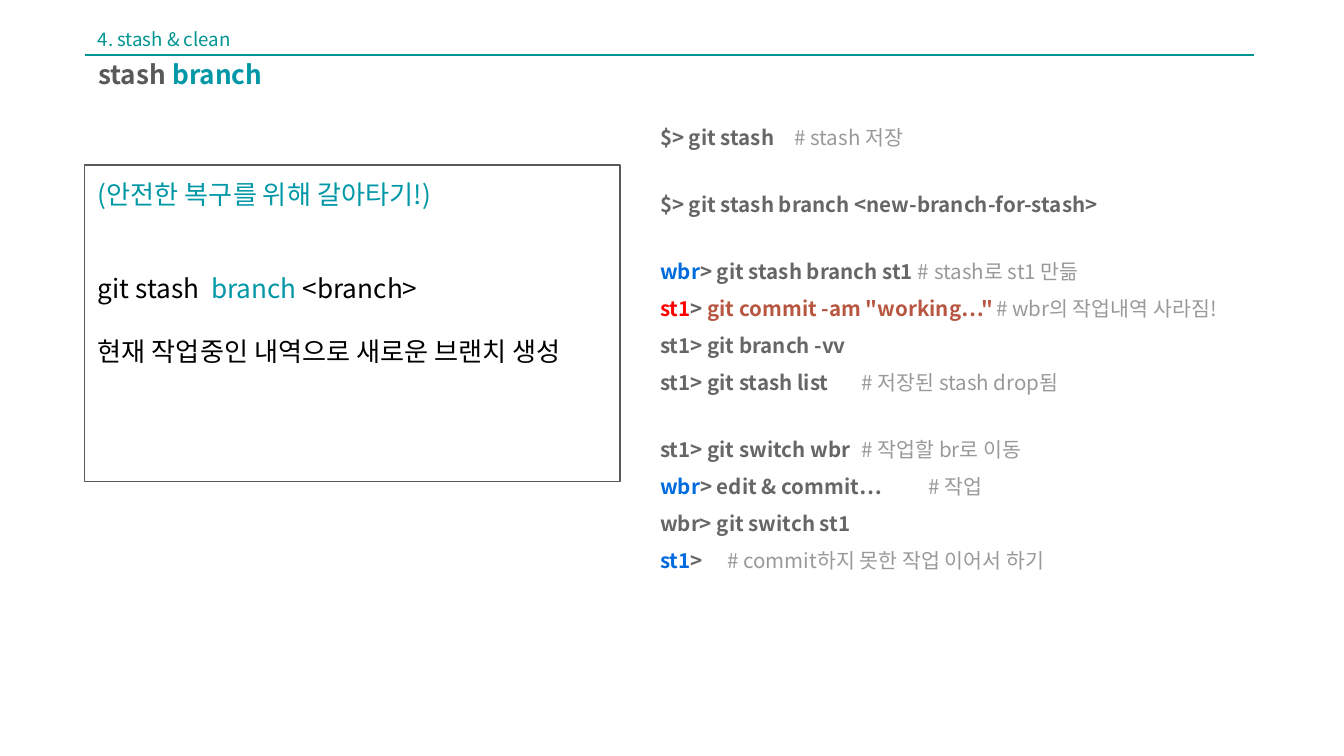
from pptx import Presentation
from pptx.util import Pt
from pptx.dml.color import RGBColor
from pptx.enum.shapes import MSO_SHAPE as SHAPE, MSO_CONNECTOR as CONN
from pptx.enum.text import MSO_ANCHOR as ANCHOR, MSO_AUTO_SIZE as FIT, PP_ALIGN as ALIGN
from pptx.oxml.ns import qn
from lxml.etree import SubElement

FONT = "Noto Sans CJK KR"
TEAL, CYAN, DARK, GRAY, LIGHT = "009591", "0097A7", "595959", "666666", "999999"
BLUE, RED, RUST, BLACK = "006BDE", "FF0000", "B85741", "000000"
LEFT, RULE_Y, RULE_W = 45.4, 29.5, 626.6

SECTION = [("4. stash & clean", TEAL)]
TITLE = [("stash ", DARK), ("branch", CYAN)]
SUMMARY = [
    (0, [("(안전한 복구를 위해 갈아타기!)", CYAN)]),
    (33.6, [("git stash  ", BLACK), ("branch ", CYAN), ("<branch>", BLACK)]),
    (16.8, [("현재 작업중인 내역으로 새로운 브랜치 생성", BLACK)]),
]
COMMANDS = [
    [
        ([("$> git stash", GRAY)], "# stash 저장", 96.5),
    ],
    [
        ([("$> git stash branch <new-branch-for-stash>", GRAY)], None, None),
    ],
    [
        ([("wbr", BLUE), ("> git stash branch st1 ", GRAY)], "# stash로 st1 만듦", None),
        ([("st1", RED), ("> ", GRAY), ('git commit -am "working…"', RUST)],
         "# wbr의 작업내역 사라짐!", 183.5),
        ([("st1> git branch -vv", GRAY)], None, None),
        ([("st1> git stash list", GRAY)], "# 저장된 stash drop됨", 107.5),
    ],
    [
        ([("st1> git switch wbr", GRAY)], "# 작업할 br로 이동", 119.5),
        ([("wbr", BLUE), ("> edit & commit…", GRAY)], "# 작업", 136.5),
        ([("wbr> git switch st1", GRAY)], None, None),
        ([("st1", BLUE), (">", GRAY)], "# commit하지 못한 작업 이어서 하기", 38),
    ],
]


def rgb(value):
    return RGBColor.from_string(value)


def place(sp, x, y, w, h, inset_y=3.6):
    sp.left, sp.top, sp.width, sp.height = Pt(x), Pt(y), Pt(w), Pt(h)
    tf = sp.text_frame
    tf.word_wrap = True
    tf.auto_size = FIT.NONE
    tf.vertical_anchor = ANCHOR.TOP
    tf.margin_left = tf.margin_right = Pt(7.2)
    tf.margin_top = tf.margin_bottom = Pt(inset_y)
    return tf


def write(tf, runs, size, bold=False, spacing=1.0, before=0, tab=None, first=False):
    p = tf.paragraphs[0] if first else tf.add_paragraph()
    pPr = p._p.get_or_add_pPr()
    pPr.set("marL", "0")
    pPr.set("indent", "0")
    SubElement(pPr, qn("a:buNone"))
    if tab:
        tabs = SubElement(pPr, qn("a:tabLst"))
        SubElement(tabs, qn("a:tab"), pos=str(Pt(tab)), algn="l")
    p.alignment = ALIGN.LEFT
    p.line_spacing = spacing
    p.space_before, p.space_after = Pt(before), Pt(0)
    for text, color in runs:
        r = p.add_run()
        r.text = text
        r.font.size, r.font.name = Pt(size), FONT
        r.font.bold = bold and color != LIGHT
        r.font.color.rgb = rgb(color)
        SubElement(r._r.get_or_add_rPr(), qn("a:ea"), typeface=FONT)


prs = Presentation()
prs.slide_width, prs.slide_height = Pt(720), Pt(405)
s = prs.slides.add_slide(prs.slide_layouts[1])
title, body = s.placeholders

write(place(title, LEFT, RULE_Y, 514, 24), TITLE, 14, bold=True, spacing=0.9, first=True)

tf = place(body, 346.4, 53.3, 327, 279.4, inset_y=7.2)
for g, group in enumerate(COMMANDS):
    for i, (runs, note, tab) in enumerate(group):
        comment = [(("\t" if tab else "") + note, LIGHT)] if note else []
        write(tf, runs + comment, 11, bold=True, spacing=1.5, tab=tab,
              before=16 if g and i == 0 else 0, first=g == i == 0)

section = s.shapes.add_textbox(0, 0, 0, 0)
write(place(section, LEFT, 13, 514, 17), SECTION, 10, spacing=0.9, first=True)

box = s.shapes.add_shape(SHAPE.RECTANGLE, 0, 0, 0, 0)
box.shadow.inherit = False
box.fill.background()
box.line.color.rgb = rgb(DARK)
box.line.width = Pt(0.75)
tf = place(box, LEFT, 88.4, 286.8, 169.6, inset_y=7.2)
for i, (before, runs) in enumerate(SUMMARY):
    write(tf, runs, 14, before=before, first=i == 0)

rule = s.shapes.add_connector(CONN.STRAIGHT, Pt(LEFT), Pt(RULE_Y), Pt(LEFT + RULE_W), Pt(RULE_Y))
rule.line.color.rgb = rgb(TEAL)
rule.line.width = Pt(0.75)
SubElement(rule._element.spPr, qn("a:effectLst"))

prs.save("out.pptx")
